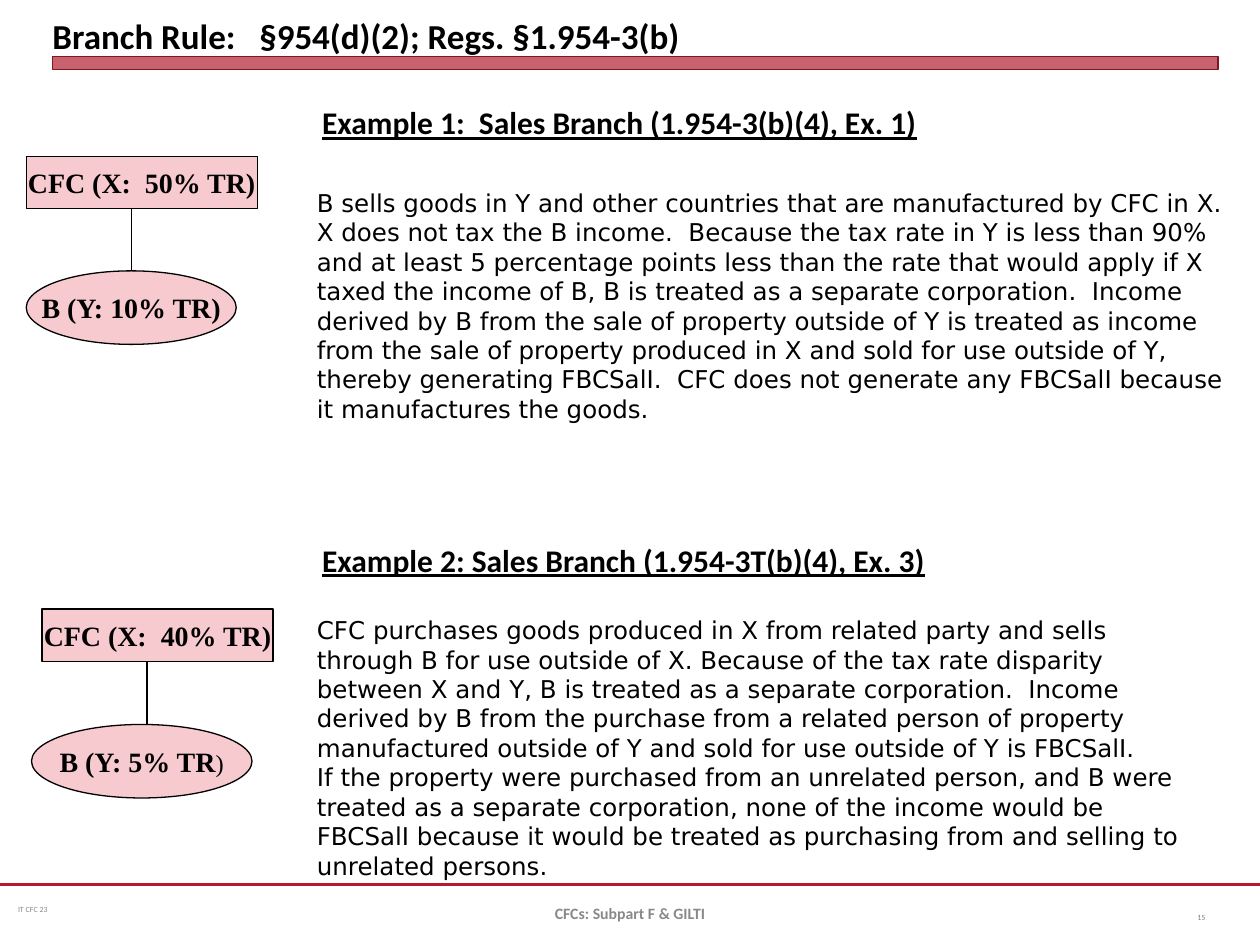
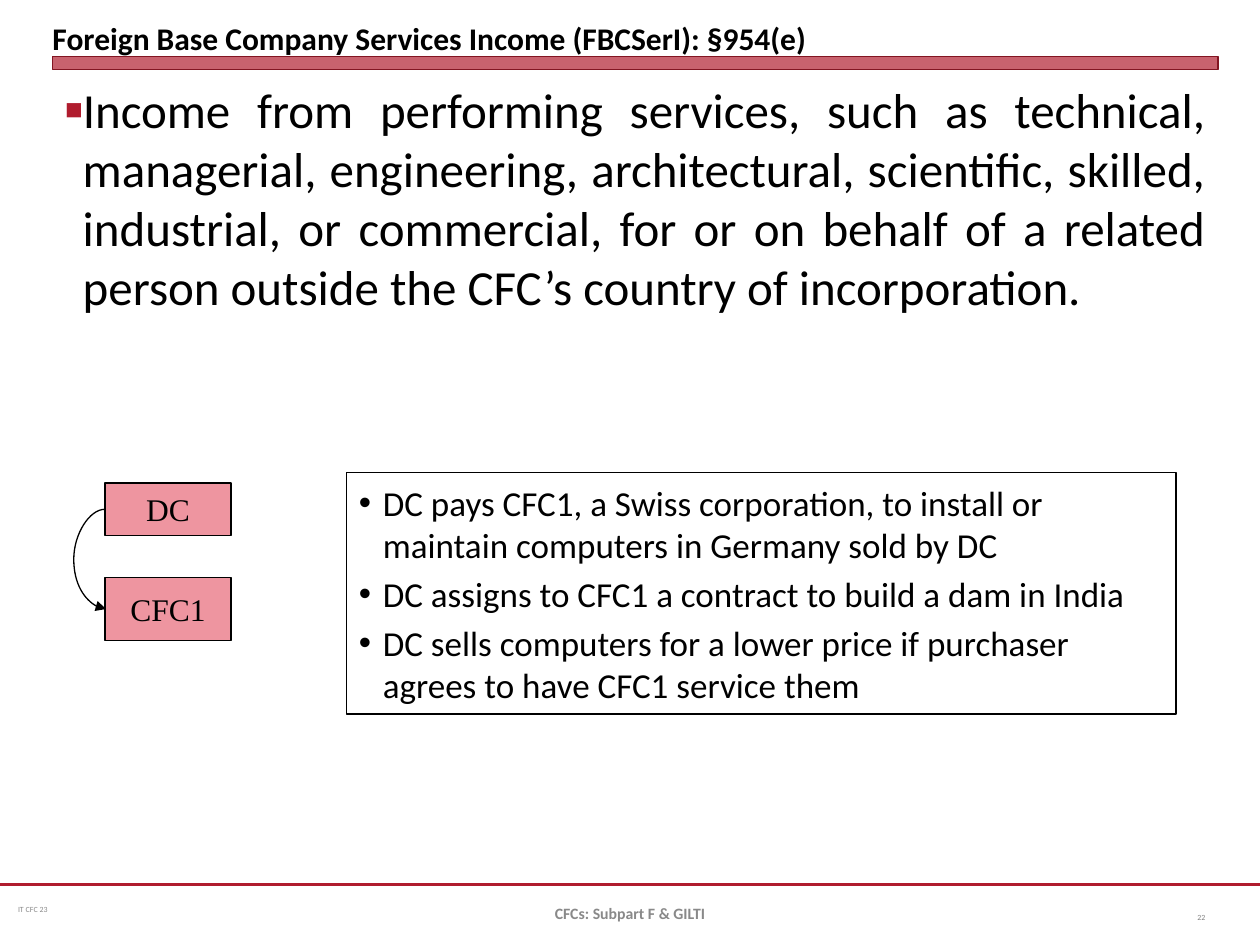
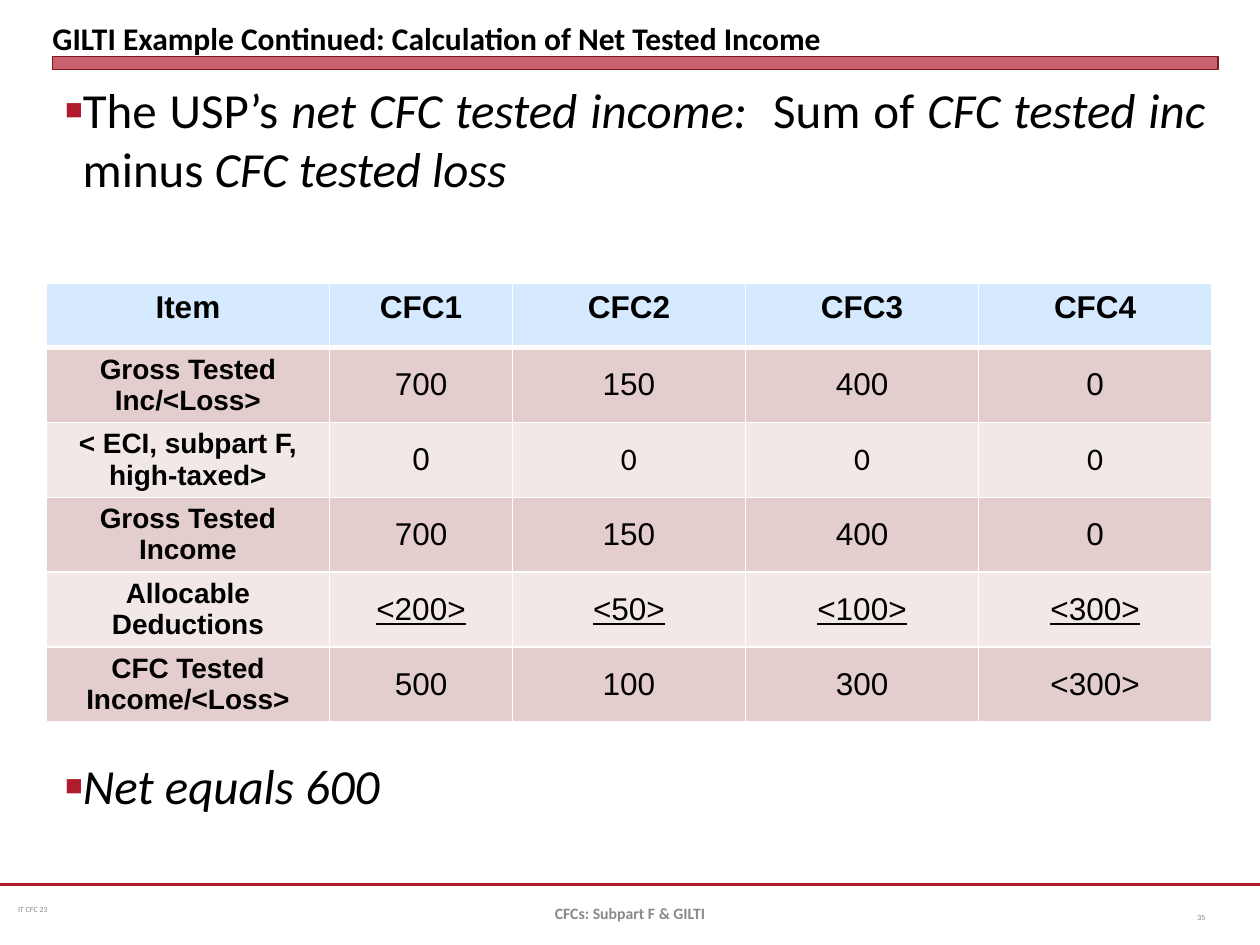
"""Builds three tax slides with a shared master band, rule and footer."""
from dataclasses import dataclass, field
from typing import Any, NamedTuple

from lxml import etree
from pptx import Presentation, util as u
from pptx.dml.color import RGBColor
from pptx.enum import shapes, text
from pptx.oxml.ns import qn

COLUMNS, ROWS = 120, 90
LEFT, CENTER, RIGHT, JUSTIFY = (text.PP_ALIGN.LEFT, text.PP_ALIGN.CENTER,
                                text.PP_ALIGN.RIGHT, text.PP_ALIGN.JUSTIFY)
TOP, MIDDLE, BOTTOM = (text.MSO_ANCHOR.TOP, text.MSO_ANCHOR.MIDDLE,
                       text.MSO_ANCHOR.BOTTOM)
RECTANGLE, ELLIPSE = shapes.MSO_SHAPE.RECTANGLE, shapes.MSO_SHAPE.OVAL


@dataclass(frozen=True)
class Theme:
    """Holds the colours, fonts and type sizes of the deck."""
    ink: str = "000000"
    paper: str = "FFFFFF"
    crimson: str = "B01C2E"
    band_edge: str = "821522"
    pink: str = "F7CAD0"
    rose: str = "EE95A0"
    footer_grey: str = "898989"
    number_grey: str = "808080"
    header_blue: str = "D6EAFF"
    stripes: tuple[str, str] = ("E4CDCD", "F2E8E8")
    sans: str = "Calibri"
    serif: str = "Times New Roman"
    wide: str = "DejaVu Sans"
    grid: str = "Arial"
    tiny: float = 4.5
    footer: float = 9
    prose: float = 14
    label: float = 16
    heading: float = 18
    large: float = 20
    body: float = 28
    hairline: float = 0.75


THEME = Theme()


class Area(NamedTuple):
    """Gives a place as grid columns and rows."""
    left: float
    top: float
    width: float
    height: float


class Span(NamedTuple):
    """Gives a run of text and what sets it apart."""
    words: str
    look: dict[str, Any] = {}


class Bullet(NamedTuple):
    """Describes a list mark and its hanging indent in inches."""
    mark: str
    indent: float
    color: str
    percent: int


@dataclass(frozen=True)
class Style:
    """Describes how a block of text looks."""
    size: float
    font: str = THEME.sans
    color: str = THEME.ink
    bold: bool = False
    underline: bool = False
    align: Any = LEFT
    bullet: Bullet | None = None
    frame: dict[str, Any] = field(default_factory=dict)


class Example(NamedTuple):
    """Describes one branch example with its diagram."""
    heading: str
    heading_area: Area
    parent: str
    parent_area: Area
    branch: list[Span]
    branch_area: Area
    prose: list[str]
    prose_area: Area


SQUARE = Bullet("■", 0.14, THEME.crimson, 60)
DOT = Bullet("•", 0.19, THEME.ink, 100)
NO_INSET = dict.fromkeys(
    ("margin_left", "margin_top", "margin_right", "margin_bottom"), 0)
FIXED = {"word_wrap": True, "auto_size": text.MSO_AUTO_SIZE.NONE}
GROW = {"word_wrap": True, "auto_size": text.MSO_AUTO_SIZE.SHAPE_TO_FIT_TEXT}
CENTERED = FIXED | {"vertical_anchor": MIDDLE}
LABEL = CENTERED | {"word_wrap": False}
SLIM = {"margin_left": u.Inches(0.06), "margin_right": u.Inches(0.06),
        "margin_top": u.Inches(0.03), "margin_bottom": u.Inches(0.03)}

TITLE_FRAME = FIXED | NO_INSET | {"vertical_anchor": BOTTOM}
BODY = Style(THEME.body, align=JUSTIFY, bullet=SQUARE, frame=FIXED)
HEADING = Style(THEME.heading, bold=True, underline=True, frame=GROW)
PROSE = Style(THEME.prose, THEME.wide, frame=GROW)
ENTITY = Style(THEME.label, THEME.serif, bold=True, align=CENTER, frame=LABEL)
COMPANY = Style(THEME.heading, THEME.serif, align=CENTER, frame=LABEL)
CASES = Style(THEME.large, bullet=DOT, frame=GROW | {"vertical_anchor": MIDDLE})
COURSE = Style(THEME.tiny, color=THEME.footer_grey, frame=CENTERED | SLIM)
FOOTER = Style(THEME.footer, color=THEME.footer_grey, bold=True, align=CENTER,
               frame=CENTERED)
NUMBER = Style(THEME.tiny, color=THEME.number_grey, align=RIGHT, frame=CENTERED)


def across(columns: float) -> int:
    """Turns grid columns into a length."""
    return u.Inches(10 * columns / COLUMNS)


def down(rows: float) -> int:
    """Turns grid rows into a length."""
    return u.Inches(7.5 * rows / ROWS)


def place(area: Area) -> tuple[int, int, int, int]:
    """Turns a grid area into left, top, width and height."""
    return (across(area.left), down(area.top),
            across(area.width), down(area.height))


def assign(target: Any, values: dict[str, Any]) -> None:
    """Sets attributes from a dict of format values."""
    for name, value in values.items():
        setattr(target, name, value)


def rgb(code: str) -> RGBColor:
    """Reads a hex colour."""
    return RGBColor.from_string(code)


def add_mark(para: Any, bullet: Bullet) -> None:
    """Gives a paragraph a bullet and a hanging indent."""
    properties = para._p.get_or_add_pPr()
    properties.set("marL", str(u.Inches(bullet.indent)))
    properties.set("indent", str(-u.Inches(bullet.indent)))
    color = etree.SubElement(properties, qn("a:buClr"))
    etree.SubElement(color, qn("a:srgbClr"), val=bullet.color)
    etree.SubElement(properties, qn("a:buSzPct"), val=str(bullet.percent * 1000))
    etree.SubElement(properties, qn("a:buFont"), typeface=THEME.grid)
    etree.SubElement(properties, qn("a:buChar"), char=bullet.mark)


def write(frame: Any, paragraphs: list[list[Span]], style: Style,
          gaps: dict[int, float] | None = None) -> None:
    """Fills a text frame, with gaps in points before chosen paragraphs."""
    assign(frame, style.frame)
    for index, spans in enumerate(paragraphs):
        para = frame.add_paragraph() if index else frame.paragraphs[0]
        para.alignment = style.align
        if gaps and index in gaps:
            para.space_before = u.Pt(gaps[index])
        if style.bullet:
            add_mark(para, style.bullet)
        for span in spans:
            run = para.add_run()
            run.text = span.words
            assign(run.font, {"name": style.font, "size": u.Pt(style.size),
                              "bold": style.bold, "italic": False,
                              "underline": style.underline} | span.look)
            run.font.color.rgb = rgb(style.color)


def plain(*lines: str) -> list[list[Span]]:
    """Makes one unvaried paragraph of each line."""
    return [[Span(line)] for line in lines]


def add_text(page: Any, area: Area, lines: list[str], style: Style) -> Any:
    """Adds a text box."""
    box = page.shapes.add_textbox(*place(area))
    write(box.text_frame, plain(*lines), style)
    return box


def add_box(page: Any, kind: Any, area: Area, fill: str | None,
            edge: str = THEME.ink, width: float = THEME.hairline) -> Any:
    """Adds an outlined shape without a shadow."""
    box = page.shapes.add_shape(kind, *place(area))
    box.shadow.inherit = False
    if fill:
        box.fill.solid()
        box.fill.fore_color.rgb = rgb(fill)
    else:
        box.fill.background()
    box.line.color.rgb = rgb(edge)
    box.line.width = u.Pt(width)
    return box


def add_line(page: Any, start: tuple[float, float], end: tuple[float, float],
             color: str = THEME.ink, width: float = THEME.hairline,
             kind: Any = shapes.MSO_CONNECTOR.STRAIGHT) -> Any:
    """Adds a connector between two grid points."""
    line = page.shapes.add_connector(kind, across(start[0]), down(start[1]),
                                     across(end[0]), down(end[1]))
    line.line.color.rgb = rgb(color)
    line.line.width = u.Pt(width)
    etree.SubElement(line._element.spPr, qn("a:effectLst"))
    return line


def add_curved_arrow(page: Any, start: tuple[float, float],
                     end: tuple[float, float], bend: float) -> None:
    """Adds a curved arrow that bulges out to a grid column."""
    arrow = add_line(page, start, end, kind=shapes.MSO_CONNECTOR.CURVE)
    share = (bend - start[0]) / (end[0] - start[0])
    guides = arrow._element.spPr.find(qn("a:prstGeom")).find(qn("a:avLst"))
    etree.SubElement(guides, qn("a:gd"), name="adj1",
                     fmla=f"val {round(share * 100000)}")
    etree.SubElement(arrow.line._get_or_add_ln(), qn("a:tailEnd"),
                     type="triangle")


def dress_master(deck: Any, page: Any) -> None:
    """Draws the shared parts and hands them to the slide master."""
    rule = add_line(page, (0, 84.25), (COLUMNS, 84.25), THEME.crimson, 1.25)
    course = add_text(page, Area(1, 84.25, 31, 4.8), ["IT CFC 23"], COURSE)
    band = add_box(page, RECTANGLE, Area(5, 5.4, 111, 1.2), THEME.crimson,
                   THEME.band_edge, 0)
    tint = band.fill._xPr.find(qn("a:solidFill"))[0]
    etree.SubElement(tint, qn("a:alpha"), val="69000")
    for part in (rule, course, band):
        deck.slide_master.shapes._spTree.append(part._element)


def add_page(deck: Any, layout: int, title: str, number: int,
             size: float = THEME.heading) -> Any:
    """Adds a page with its title, number and footer."""
    page = deck.slides.add_slide(deck.slide_layouts[layout])
    box = page.shapes.title
    assign(box, dict(zip(("left", "top", "width", "height"),
                         place(Area(5, 0.6, 111, 4.8)))))
    write(box.text_frame, plain(title),
          Style(size, bold=True, frame=TITLE_FRAME))
    add_text(page, Area(110, 85, 6, 4.8), [str(number)], NUMBER)
    add_text(page, Area(41, 84.6, 38, 4.8), ["CFCs: Subpart F & GILTI"], FOOTER)
    return page


def fill_body(page: Any, paragraphs: list[list[Span]],
              gaps: dict[int, float] | None = None) -> None:
    """Moves and fills the body placeholder."""
    box = page.placeholders[1]
    assign(box, dict(zip(("left", "top", "width", "height"),
                         place(Area(5, 7, 111, 76.3)))))
    write(box.text_frame, paragraphs, BODY, gaps)


def add_example(page: Any, example: Example) -> None:
    """Draws a branch example: heading, two entities and prose."""
    parent, branch = example.parent_area, example.branch_area
    for kind, area, spans in ((RECTANGLE, parent, [Span(example.parent)]),
                              (ELLIPSE, branch, example.branch)):
        box = add_box(page, kind, area, THEME.pink)
        write(box.text_frame, [spans], ENTITY)
    middle = parent.left + 10
    add_line(page, (middle, parent.top + parent.height), (middle, branch.top))
    add_text(page, example.prose_area, example.prose, PROSE)
    add_text(page, example.heading_area, [example.heading], HEADING)


def add_border(cell: Any, sides: dict[str, float]) -> None:
    """Gives cell sides a paper-coloured border of given points."""
    properties = cell._tc.get_or_add_tcPr()
    for index, (side, width) in enumerate(sides.items()):
        edge = etree.Element(qn(f"a:ln{side}"), w=str(u.Pt(width)))
        fill = etree.SubElement(edge, qn("a:solidFill"))
        etree.SubElement(fill, qn("a:srgbClr"), val=THEME.paper)
        properties.insert(index, edge)


def add_income_table(page: Any, rows: list[list[str]]) -> None:
    """Adds the tested income table."""
    widths = [27, 17.4, 22.2, 22.2, 22.2]
    area = Area(4.4, 27, sum(widths), 6.1 * len(rows))
    table = page.shapes.add_table(len(rows), len(widths), *place(area)).table
    for column, width in zip(table.columns, widths):
        column.width = across(width)
    for i, row in enumerate(rows):
        for j, words in enumerate(row):
            cell = table.cell(i, j)
            header, label = i == 0, j == 0
            cell.fill.solid()
            cell.fill.fore_color.rgb = rgb(
                THEME.header_blue if header else THEME.stripes[(i - 1) % 2])
            cell.vertical_anchor = TOP if header or label else MIDDLE
            style = Style(
                THEME.label if label and not header else THEME.heading,
                THEME.sans if i == 2 and j > 1 else THEME.grid,
                bold=header or label, align=CENTER,
                underline=row[0] == "Allocable Deductions" and not label)
            write(cell.text_frame, plain(words), style)
            sides = {"L": 1, "R": 1}
            add_border(cell, sides | ({"T": 1, "B": 3} if header else {"B": 1}))


EXAMPLES = [
    Example(
        "Example 1:  Sales Branch (1.954-3(b)(4), Ex. 1)",
        Area(29.5, 9.25, 76, 4.8),
        "CFC (X:  50% TR)", Area(2.5, 14.9, 22, 5),
        [Span("B (Y: 10% TR)")], Area(2.5, 25.8, 20, 7),
        ["B sells goods in Y and other countries that are manufactured by CFC "
         "in X.  X does not tax the B income.  Because the tax rate in Y is "
         "less than 90% and at least 5 percentage points less than the rate "
         "that would apply if X taxed the income of B, B is treated as a "
         "separate corporation.  Income derived by B from the sale of property "
         "outside of Y is treated as income from the sale of property produced "
         "in X and sold for use outside of Y, thereby generating FBCSalI.  CFC "
         "does not generate any FBCSalI because it manufactures the goods."],
        Area(29, 17.3, 91, 23.9)),
    Example(
        "Example 2: Sales Branch (1.954-3T(b)(4), Ex. 3)",
        Area(29.5, 50.9, 83, 4.8),
        "CFC (X:  40% TR)", Area(4, 58, 22, 5),
        [Span("B (Y: 5% TR"),
         Span(")", {"size": u.Pt(THEME.prose), "bold": False})],
        Area(3, 69, 21, 7),
        ["CFC purchases goods produced in X from related party and sells "
         "through B for use outside of X. Because of the tax rate disparity "
         "between X and Y, B is treated as a separate corporation.  Income "
         "derived by B from the purchase from a related person of property "
         "manufactured outside of Y and sold for use outside of Y is FBCSalI.",
         "If the property were purchased from an unrelated person, and B were "
         "treated as a separate corporation, none of the income would be "
         "FBCSalI because it would be treated as purchasing from and selling "
         "to unrelated persons."],
        Area(29, 58, 86, 26.6)),
]
INCOME = [
    ["Item", "CFC1", "CFC2", "CFC3", "CFC4"],
    ["Gross Tested Inc/<Loss>", "700", "150", "400", "0"],
    ["< ECI, subpart F, high-taxed>", "0", "0", "0", "0"],
    ["Gross Tested Income", "700", "150", "400", "0"],
    ["Allocable Deductions", "<200>", "<50>", "<100>", "<300>"],
    ["CFC Tested Income/<Loss>", "500", "100", "300", "<300>"],
]


def build_branch_page(deck: Any) -> None:
    """Builds the branch rule page."""
    page = add_page(deck, 5, "Branch Rule:   §954(d)(2); Regs. §1.954-3(b)", 15,
                    THEME.large)
    dress_master(deck, page)
    for example in EXAMPLES:
        add_example(page, example)


def build_services_page(deck: Any) -> None:
    """Builds the services income page."""
    page = add_page(
        deck, 1, "Foreign Base Company Services Income (FBCSerI): §954(e)", 22)
    fill_body(page, plain(
        "Income from performing services, such as technical, managerial, "
        "engineering, architectural, scientific, skilled, industrial, or "
        "commercial, for or on behalf of a related person outside the CFC’s "
        "country of incorporation."))
    for name, area in (("DC", Area(10, 46, 12, 5)),
                       ("CFC1", Area(10, 55, 12, 6))):
        box = add_box(page, RECTANGLE, area, THEME.rose)
        write(box.text_frame, plain(name), COMPANY)
    cases = add_box(page, RECTANGLE, Area(33, 45, 79, 23), None)
    write(cases.text_frame, plain(
        "DC pays CFC1, a Swiss corporation, to install or maintain computers "
        "in Germany sold by DC",
        "DC assigns to CFC1 a contract to build a dam in India",
        "DC sells computers for a lower price if purchaser agrees to have CFC1 "
        "service them"), CASES, dict.fromkeys(range(3), THEME.large / 5))
    add_curved_arrow(page, (10, 48.5), (10.1, 58), 7)


def build_income_page(deck: Any) -> None:
    """Builds the net tested income page."""
    page = add_page(
        deck, 1, "GILTI Example Continued: Calculation of Net Tested Income", 35)
    slanted = {"italic": True}
    fill_body(page, [
        [Span("The USP’s "), Span("net CFC tested income:  ", slanted),
         Span("Sum of "), Span("CFC tested inc", slanted),
         Span(" minus "), Span("CFC tested loss", slanted)],
        [Span("Net equals 600", slanted)]], {1: 319})
    add_income_table(page, INCOME)


def main() -> None:
    """Builds and saves the deck."""
    deck = Presentation()
    assign(deck, {"slide_width": across(COLUMNS), "slide_height": down(ROWS)})
    for build in (build_branch_page, build_services_page, build_income_page):
        build(deck)
    deck.save("out.pptx")


main()
